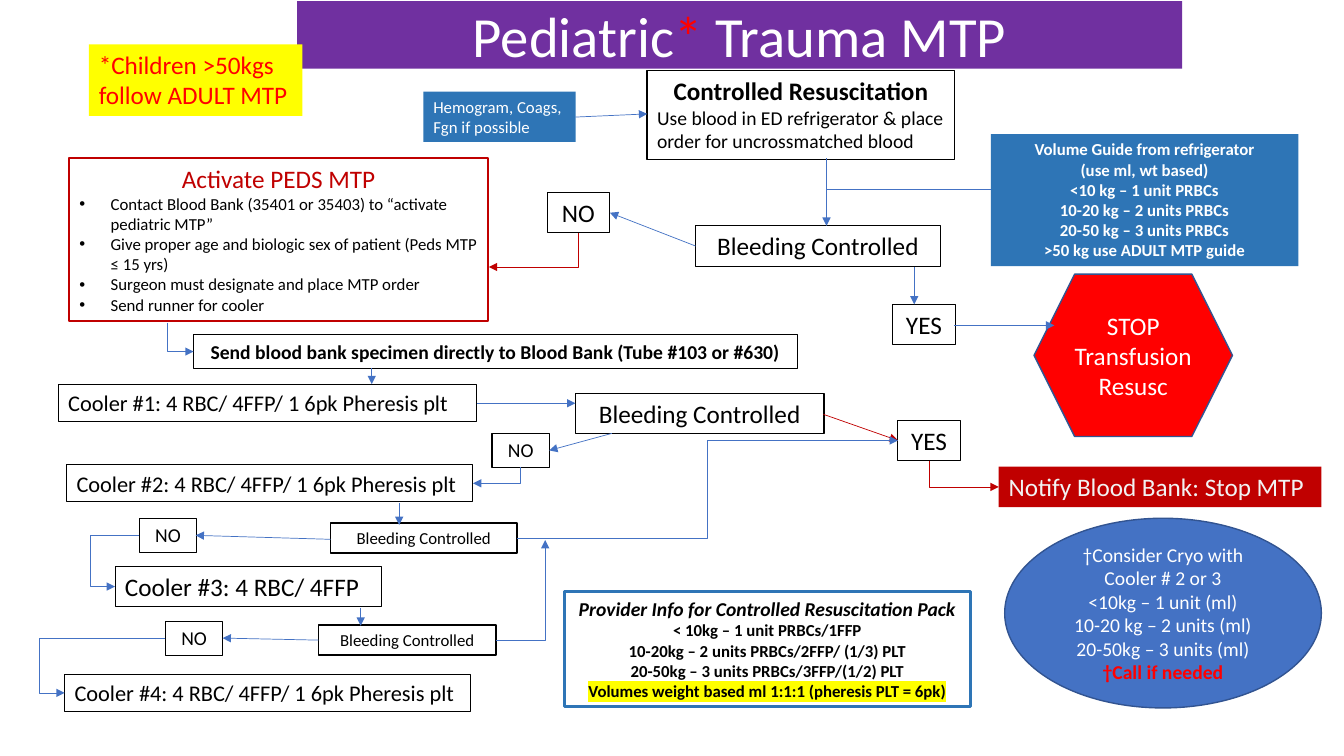
from lxml import etree
from pptx import Presentation
from pptx import util as u
from pptx.dml.color import RGBColor
from pptx.enum import shapes, text
from pptx.oxml.ns import qn

COLORS = {
    "black": "000000", "white": "FFFFFF", "off_white": "F2F2F2",
    "purple": "7030A0", "red": "FF0000", "dark_red": "C00000",
    "yellow": "FFFF00", "blue": "2E75B6", "arrow_blue": "4472C4",
    "outline_blue": "325491",
}
FONT = "Calibri"
TOP, LEFT, BOTTOM, RIGHT = range(4)
CENTER, START = text.PP_ALIGN.CENTER, text.PP_ALIGN.LEFT
SHAPE = shapes.MSO_SHAPE


def rgb(name):
    return RGBColor.from_string(COLORS[name])


class FlowSlide:
    def __init__(self, presentation):
        self.slide = presentation.slides.add_slide(presentation.slide_layouts[5])

    def style_paragraph(self, paragraph, content, size, color="black", align=CENTER,
                        bold=False, italic=False, bullet=False, highlight=None):
        paragraph.text = content
        paragraph.alignment = align
        if bullet:
            properties = paragraph._p.get_or_add_pPr()
            properties.set("marL", str(u.Cm(0.79)))
            properties.set("indent", str(-u.Cm(0.79)))
            etree.SubElement(properties, qn("a:buFont"), typeface="Arial")
            etree.SubElement(properties, qn("a:buChar"), char="•")
        font = paragraph.font
        font.name, font.size = FONT, u.Pt(size)
        font.bold, font.italic = bold, italic
        font.color.rgb = rgb(color)
        if highlight:
            mark = etree.SubElement(paragraph.runs[0]._r.get_or_add_rPr(), qn("a:highlight"))
            etree.SubElement(mark, qn("a:srgbClr"), val=COLORS[highlight])

    def title(self, parts, size, left, top, width, height):
        """Write the title from (text, colour) parts on a purple bar."""
        title = self.slide.shapes.title
        title.left, title.top = u.Cm(left), u.Cm(top)
        title.width, title.height = u.Cm(width), u.Cm(height)
        title.fill.solid()
        title.fill.fore_color.rgb = rgb("purple")
        frame = title.text_frame
        frame.vertical_anchor = text.MSO_ANCHOR.MIDDLE
        frame.auto_size = text.MSO_AUTO_SIZE.NONE
        paragraph = frame.paragraphs[0]
        self.style_paragraph(paragraph, "", size, "white")
        for content, color in parts:
            run = paragraph.add_run()
            run.text = content
            run.font.color.rgb = rgb(color)

    def box(self, left, top, width, height, paragraphs, fill=None, line=None,
            line_width=0.75, kind=SHAPE.RECTANGLE):
        """Add a shape; each paragraph is a dict of style_paragraph arguments."""
        shape = self.slide.shapes.add_shape(
            kind, u.Cm(left), u.Cm(top), u.Cm(width), u.Cm(height))
        shape.shadow.inherit = False
        if fill:
            shape.fill.solid()
            shape.fill.fore_color.rgb = rgb(fill)
        else:
            shape.fill.background()
        if line:
            shape.line.color.rgb = rgb(line)
            shape.line.width = u.Pt(line_width)
        else:
            shape.line.fill.background()
        frame = shape.text_frame
        frame.word_wrap = True
        is_box = kind == SHAPE.RECTANGLE
        frame.vertical_anchor = text.MSO_ANCHOR.TOP if is_box else text.MSO_ANCHOR.MIDDLE
        for index, paragraph in enumerate(paragraphs):
            target = frame.add_paragraph() if index else frame.paragraphs[0]
            self.style_paragraph(target, **paragraph)
        return shape

    def step(self, left, top, width, height, content, size, line_width=0.75, **style):
        return self.box(left, top, width, height, [dict(content=content, size=size, **style)],
                        line="black", line_width=line_width)

    def style_line(self, connector, color, arrow):
        connector.line.color.rgb = rgb(color)
        connector.line.width = u.Pt(0.5)
        if arrow:
            etree.SubElement(connector.line._get_or_add_ln(), qn("a:tailEnd"), type="triangle")
        etree.SubElement(connector._element.spPr, qn("a:effectLst"))

    def arrow(self, x1, y1, x2, y2, color="arrow_blue", arrow=True):
        connector = self.slide.shapes.add_connector(
            shapes.MSO_CONNECTOR.STRAIGHT, u.Cm(x1), u.Cm(y1), u.Cm(x2), u.Cm(y2))
        self.style_line(connector, color, arrow)

    def elbow(self, begin, end, color="arrow_blue", bend=None, down_first=False):
        """Join two ends, each (shape, site) or (x, y); without bend there is one corner."""
        connector = self.slide.shapes.add_connector(shapes.MSO_CONNECTOR.ELBOW, 0, 0, 0, 0)
        if isinstance(begin[0], (int, float)):
            connector.begin_x, connector.begin_y = u.Cm(begin[0]), u.Cm(begin[1])
        else:
            connector.begin_connect(*begin)
        if isinstance(end[0], (int, float)):
            connector.end_x, connector.end_y = u.Cm(end[0]), u.Cm(end[1])
        else:
            connector.end_connect(*end)
        geometry = connector._element.spPr.find(qn("a:prstGeom"))
        if bend is None:
            geometry.set("prst", "bentConnector2")
        else:
            guides = geometry.find(qn("a:avLst"))
            etree.SubElement(guides, qn("a:gd"), name="adj1", fmla=f"val {round(bend * 100000)}")
        if down_first:
            self.turn_down(connector)
        self.style_line(connector, color, True)

    def turn_down(self, connector):
        """Rotate a one-corner connector by 90° so that it leaves downwards."""
        to_right = connector.end_x > connector.begin_x
        width, height = connector.width, connector.height
        connector.left += (width - height) // 2
        connector.top += (height - width) // 2
        connector.width, connector.height = height, width
        frame = connector._element.spPr.find(qn("a:xfrm"))
        frame.set("rot", "5400000")
        frame.set("flipH", "0")
        frame.set("flipV", "1" if to_right else "0")


def main():
    presentation = Presentation()
    presentation.slide_width, presentation.slide_height = u.Cm(33.87), u.Cm(19.05)
    flow = FlowSlide(presentation)
    flow.title([("Pediatric", "white"), ("*", "red"), (" Trauma MTP", "white")],
               40.5, 7.49, 0.03, 22.3, 1.7)

    flow.box(16.31, 1.78, 7.75, 2.24, [
        dict(content="Controlled Resuscitation", size=18, bold=True),
        dict(content="Use blood in ED refrigerator & place order for uncrossmatched blood",
             size=14, align=START)], line="black", line_width=1)
    for *place, content, size, color, fill in (
            (10.67, 2.31, 3.84, 1.27, "Hemogram, Coags, Fgn if possible", 12, "white", "blue"),
            (2.24, 1.12, 5.38, 1.8, "*Children >50kgs follow ADULT MTP", 18, "red", "yellow")):
        flow.box(*place, [dict(content=content, size=size, color=color, align=START)], fill=fill)
    notify = flow.box(25.17, 11.76, 8.13, 1.02, [dict(
        content="Notify Blood Bank: Stop MTP", size=18, color="off_white", align=START)],
        fill="dark_red")
    volumes = ("Volume Guide from refrigerator", "(use ml, wt based)\n<10 kg – 1 unit PRBCs",
               "10-20 kg – 2 units PRBCs", "20-50 kg – 3 units PRBCs", ">50 kg use ADULT MTP guide")
    flow.box(24.97, 3.38, 7.75, 3.33,
             [dict(content=row, size=12, color="white", bold=True) for row in volumes], fill="blue")
    flow.box(26.06, 6.91, 5, 4.09,
             [dict(content=row, size=18, color="white") for row in ("STOP", "Transfusion", "Resusc")],
             fill="red", line="outline_blue", line_width=1, kind=SHAPE.HEXAGON)
    tasks = ("Contact Blood Bank (35401 or 35403) to “activate pediatric MTP”",
             "Give proper age and biologic sex of patient (Peds MTP ≤ 15 yrs)",
             "Surgeon must designate and place MTP order", "Send runner for cooler")
    flow.box(1.75, 3.99, 10.54, 4.11,
             [dict(content="Activate PEDS MTP", size=18, color="dark_red")]
             + [dict(content=task, size=12, align=START, bullet=True) for task in tasks],
             line="dark_red", line_width=1.5)
    doses = ("< 10kg – 1 unit PRBCs/1FFP", "10-20kg – 2 units PRBCs/2FFP/ (1/3) PLT",
             "20-50kg – 3 units PRBCs/3FFP/(1/2) PLT")
    flow.box(14.22, 14.91, 10.24, 2.9, [
        dict(content="Provider Info for Controlled Resuscitation Pack", size=14, bold=True, italic=True),
        *(dict(content=dose, size=12, bold=True) for dose in doses),
        dict(content="Volumes weight based ml 1:1:1 (pheresis PLT = 6pk)", size=12, bold=True,
             highlight="yellow")], line="blue", line_width=2.25)
    cryo = ("†Consider Cryo with Cooler # 2 or 3", "<10kg – 1 unit (ml)",
            "10-20 kg – 2 units (ml)", "20-50kg – 3 units (ml)")
    flow.box(25.32, 13.06, 7.98, 4.78,
             [dict(content=row, size=14, color="white") for row in cryo]
             + [dict(content="†Call if needed", size=14, color="red", bold=True)],
             fill="arrow_blue", line="outline_blue", line_width=1, kind=SHAPE.OVAL)

    specimen = flow.step(4.88, 8.43, 15.21, 0.86,
                         "Send blood bank specimen directly to Blood Bank (Tube #103 or #630)",
                         14, bold=True)
    _, _, third_check, fourth_check = [
        flow.step(*place, "Bleeding Controlled", size, line_width=1) for *place, size in (
            (17.53, 5.69, 6.17, 1.02, 18), (14.5, 9.91, 6.27, 1.02, 18),
            (8.33, 13.18, 4.7, 0.76, 12), (8.03, 15.75, 4.47, 0.76, 12))]
    first_no = flow.step(13.79, 4.85, 1.57, 1.02, "NO", 18)
    second_no, third_no, fourth_no = [
        flow.step(left, top, 1.45, 0.86, "NO", 14)
        for left, top in ((12.4, 10.92), (3.51, 13.06), (4.17, 15.65))]
    _, second_yes = [flow.step(left, top, 1.57, 1.02, "YES", 18)
                     for left, top in ((22.5, 7.67), (22.63, 10.59))]
    full_pack = "4 RBC/ 4FFP/ 1 6pk Pheresis plt"
    _, second_cooler, third_cooler, fourth_cooler = [
        flow.step(*place, f"Cooler #{number}: {pack}", size, align=START)
        for number, (*place, pack, size) in enumerate((
            (1.47, 9.68, 10.54, 0.94, full_pack, 16), (1.68, 11.71, 10.24, 0.94, full_pack, 16),
            (2.9, 14.27, 6.71, 1.02, "4 RBC/ 4FFP", 18),
            (1.63, 16.99, 10.24, 0.94, full_pack, 16)), start=1)]

    for ends in ((14.5, 2.95, 16.31, 2.87), (20.83, 3.99, 20.83, 5.69),
                 (23.04, 6.73, 23.04, 7.67), (24.05, 8.2, 26.57, 8.2),
                 (17.53, 6.2, 15.37, 5.36), (12.01, 10.16, 14.5, 10.16),
                 (15.42, 10.92, 13.84, 11.35), (8.33, 13.59, 4.93, 13.49),
                 (8.03, 16.13, 5.61, 16.08), (10.06, 12.67, 10.06, 13.23),
                 (9.09, 15.32, 9.09, 15.77), (9.37, 9.27, 9.37, 9.68)):
        flow.arrow(*ends)
    flow.arrow(20.83, 4.78, 24.97, 4.78, arrow=False)
    flow.arrow(20.75, 10.44, 22.63, 11.1, color="dark_red")
    flow.elbow((first_no, BOTTOM), (12.32, 6.73), color="dark_red", down_first=True)
    flow.elbow((second_yes, BOTTOM), (notify, LEFT), color="dark_red", down_first=True)
    flow.elbow((second_no, BOTTOM), (second_cooler, RIGHT), down_first=True)
    flow.elbow((4.22, 8.13), (specimen, LEFT), down_first=True)
    flow.elbow((third_no, LEFT), (third_cooler, LEFT), bend=2.03)
    flow.elbow((fourth_no, LEFT), (fourth_cooler, LEFT), bend=1.25)
    flow.elbow((third_check, RIGHT), (second_yes, LEFT), bend=0.5)
    flow.elbow((fourth_check, RIGHT), (13.74, 13.61))
    presentation.save("out.pptx")


if __name__ == "__main__":
    main()
